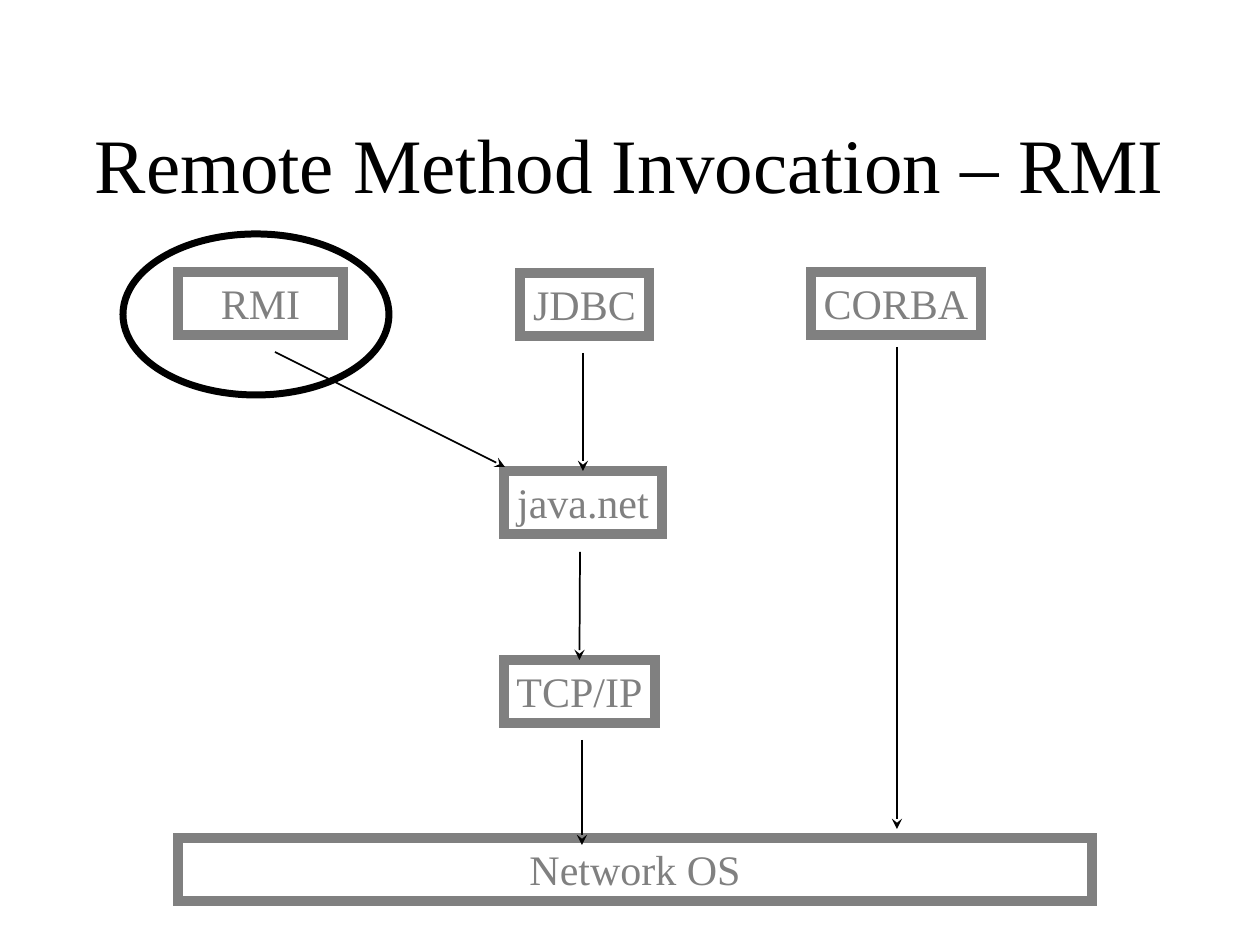
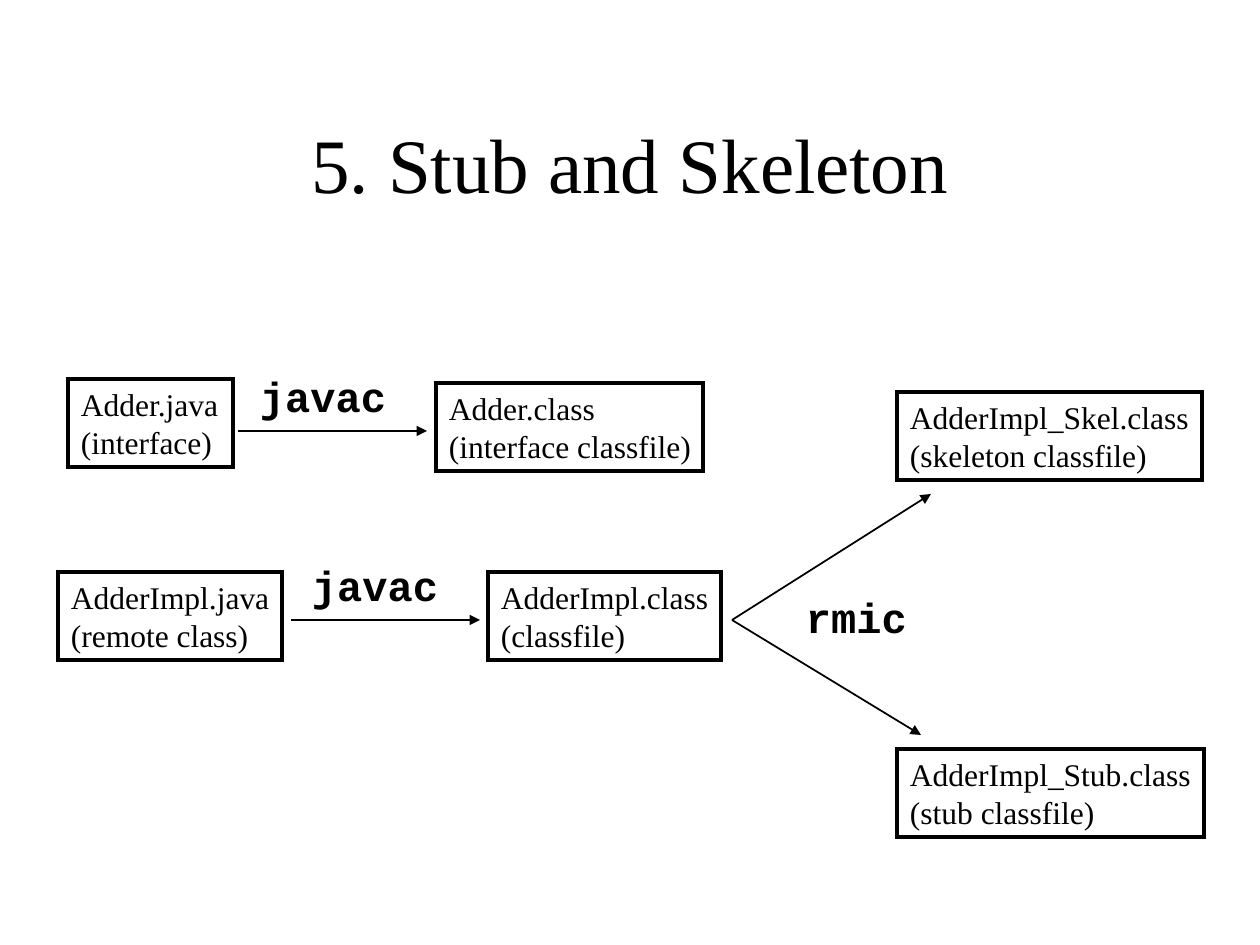
from lxml import etree
from pptx import Presentation
from pptx.dml.color import RGBColor
from pptx.enum.shapes import MSO_CONNECTOR, MSO_SHAPE
from pptx.enum.text import MSO_ANCHOR, MSO_AUTO_SIZE, PP_ALIGN
from pptx.oxml.ns import qn
from pptx.util import Emu, Pt

STRAIGHT = MSO_CONNECTOR.STRAIGHT
RECTANGLE, OVAL = MSO_SHAPE.RECTANGLE, MSO_SHAPE.OVAL
TOP, MIDDLE = MSO_ANCHOR.TOP, MSO_ANCHOR.MIDDLE
NO_AUTOFIT = MSO_AUTO_SIZE.NONE
LEFT, CENTER = PP_ALIGN.LEFT, PP_ALIGN.CENTER

EMU_PER_PX = 914400 / 126
TITLE_ONLY = 5
TOP_SIDE = 0
BLACK, GRAY = "000000", "808080"
SERIF, MONO = "Times New Roman", "Courier New"
LAYER_HEIGHT, FILE_HEIGHT, LABEL_HEIGHT = 63, 88, 63


def px(*lengths):
    """Turn pixel lengths into EMU."""
    return [Emu(round(length * EMU_PER_PX)) for length in lengths]


def color(hex_string):
    """Turn a hex string into a colour."""
    return RGBColor.from_string(hex_string)


def write(frame, lines, size, hue=BLACK, align=LEFT, anchor=TOP, font=SERIF, bold=False):
    """Fill a text frame with one paragraph per line."""
    frame.word_wrap = False
    frame.auto_size = NO_AUTOFIT
    frame.vertical_anchor = anchor
    frame.margin_left, frame.margin_right = px(13, 13)
    frame.margin_top, frame.margin_bottom = px(6, 6)
    frame.text = "\n".join(lines)
    for paragraph in frame.paragraphs:
        paragraph.alignment = align
        paragraph.font.name = font
        paragraph.font.size = Pt(size)
        paragraph.font.bold = bold
        paragraph.font.color.rgb = color(hue)


def add_titled_slide(deck, title, left, width):
    """Add a slide with its title placed and styled."""
    slide = deck.slides.add_slide(deck.slide_layouts[TITLE_ONLY])
    heading = slide.shapes.title
    heading.left, heading.top, heading.width, heading.height = px(left, 84, width, 158)
    write(heading.text_frame, [title], 44, align=CENTER, anchor=MIDDLE)
    return slide


def add_outline(slide, preset, left, top, width, height, hue, weight):
    """Add an unfilled shape with sharp outline corners."""
    outline = slide.shapes.add_shape(preset, *px(left, top, width, height))
    outline.shadow.inherit = False
    outline.fill.background()
    outline.line.color.rgb = color(hue)
    outline.line.width = Pt(weight)
    stroke = outline.line._get_or_add_ln()
    etree.SubElement(stroke, qn("a:miter"), lim="800000")
    return outline


def add_layer(slide, name, left, top, width):
    """Add a gray box that names one layer of the network stack."""
    layer = add_outline(slide, RECTANGLE, left, top, width, LAYER_HEIGHT, GRAY, 6)
    write(layer.text_frame, [name], 24, GRAY, CENTER)
    return layer


def add_file(slide, name, role, left, top, width):
    """Add a box with a file name and its role."""
    file_box = add_outline(slide, RECTANGLE, left, top, width, FILE_HEIGHT, BLACK, 2)
    write(file_box.text_frame, [name, f"({role})"], 18)


def add_tool(slide, name, left, top, width):
    """Add the name of a command-line tool."""
    label = slide.shapes.add_textbox(*px(left, top, width, LABEL_HEIGHT))
    write(label.text_frame, [name], 24, font=MONO, bold=True)


def add_arrow(slide, start, end, head, target=None):
    """Add a thin arrow, joined to the top of its target if there is one."""
    arrow = slide.shapes.add_connector(STRAIGHT, *px(*start, *end))
    if target is not None:
        arrow.end_connect(target, TOP_SIDE)
    arrow.line.color.rgb = color(BLACK)
    arrow.line.width = Pt(1)
    etree.SubElement(arrow.line._get_or_add_ln(), qn("a:tailEnd"), type=head)
    etree.SubElement(arrow._element.spPr, qn("a:effectLst"))


def build_stack_slide(deck):
    """Show where RMI sits in the network stack."""
    slide = add_titled_slide(deck, "Remote Method Invocation – RMI", 0, 1260)
    tcp_ip = add_layer(slide, "TCP/IP", 504, 660, 151)
    java_net = add_layer(slide, "java.net", 504, 471, 158)
    for name, left, top, width in (
        ("RMI", 178, 272, 165),
        ("JDBC", 520, 273, 129),
        ("CORBA", 811, 272, 170),
        ("Network OS", 178, 838, 914),
    ):
        add_layer(slide, name, left, top, width)
    for start, end, target in (
        ((583, 353), (583, 471), java_net),
        ((275, 352), (505, 467), None),
        ((580, 552), (580, 660), tcp_ip),
        ((897, 347), (897, 829), None),
        ((582, 740), (582, 845), None),
    ):
        add_arrow(slide, start, end, "stealth", target)
    add_outline(slide, OVAL, 123, 234, 266, 161, BLACK, 4)


def build_compile_slide(deck):
    """Show how the source files become stub and skeleton."""
    slide = add_titled_slide(deck, "5. Stub and Skeleton", 94, 1072)
    for name, role, left, top, width in (
        ("Adder.java", "interface", 68, 379, 165),
        ("Adder.class", "interface classfile", 436, 383, 267),
        ("AdderImpl.java", "remote class", 58, 572, 224),
        ("AdderImpl.class", "classfile", 488, 572, 233),
        ("AdderImpl_Skel.class", "skeleton classfile", 897, 392, 305),
        ("AdderImpl_Stub.class", "stub classfile", 897, 749, 307),
    ):
        add_file(slide, name, role, left, top, width)
    for start, end in (
        ((238, 431), (427, 431)),
        ((291, 620), (480, 620)),
        ((732, 620), (931, 494)),
        ((732, 620), (921, 735)),
    ):
        add_arrow(slide, start, end, "triangle")
    for name, left, top, width in (
        ("javac", 247, 365, 151),
        ("javac", 299, 554, 151),
        ("rmic", 793, 586, 126),
    ):
        add_tool(slide, name, left, top, width)


def main():
    """Build and save both slides."""
    deck = Presentation()
    deck.slide_width, deck.slide_height = px(1260, 945)
    build_stack_slide(deck)
    build_compile_slide(deck)
    deck.save("out.pptx")


if __name__ == "__main__":
    main()
